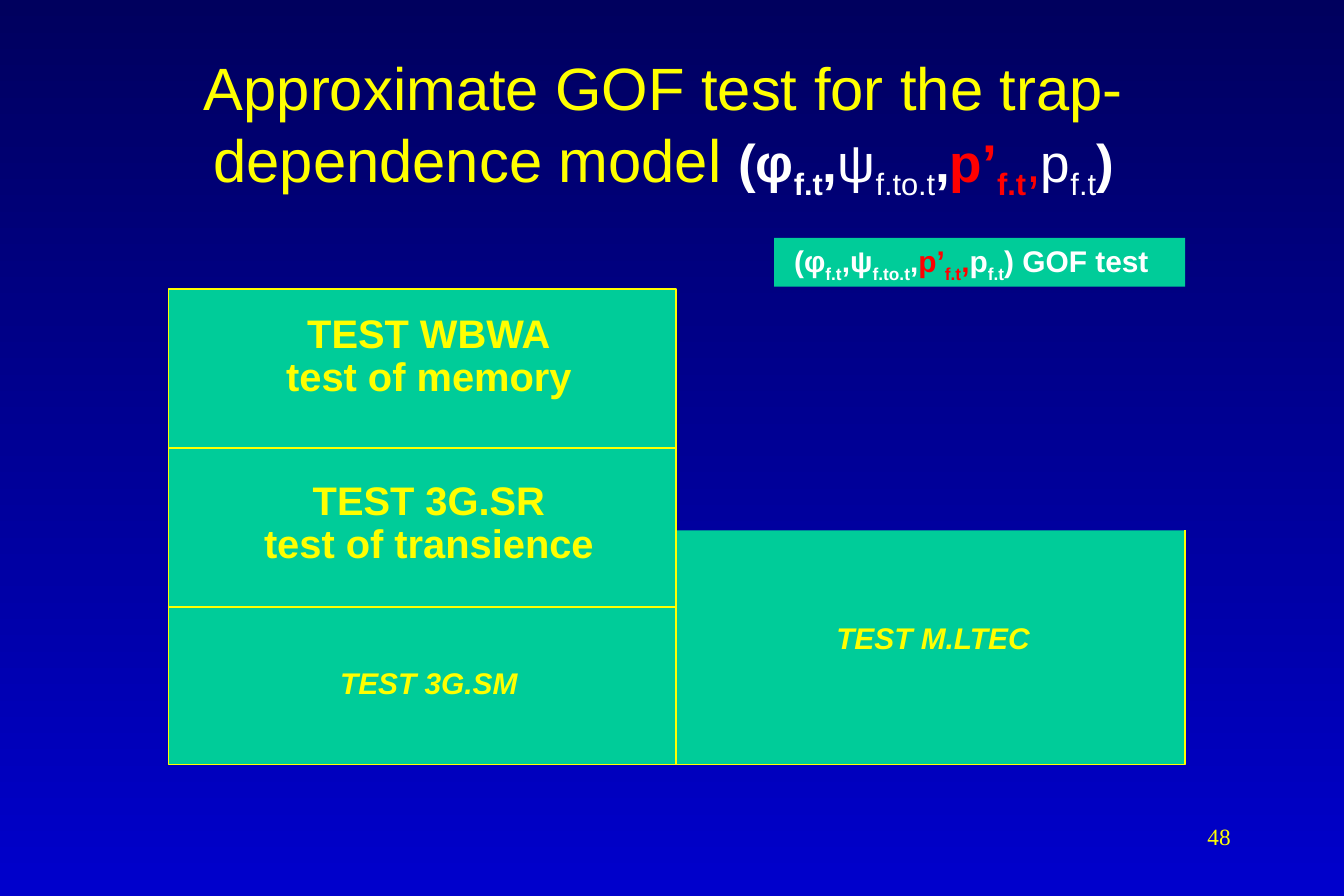
"""Builds the slide on the approximate GOF test for the trap-dependence model."""
from lxml.etree import SubElement
from pptx import Presentation
from pptx.dml.color import RGBColor
from pptx.enum.shapes import MSO_CONNECTOR, MSO_SHAPE
from pptx.enum.text import MSO_ANCHOR, MSO_AUTO_SIZE, PP_ALIGN
from pptx.oxml.ns import qn
from pptx.util import Inches, Pt

NAVY = RGBColor(0x00, 0x00, 0x5E)
BLUE = RGBColor(0x00, 0x00, 0xCC)
YELLOW = RGBColor(0xFF, 0xFF, 0x00)
WHITE = RGBColor(0xFF, 0xFF, 0xFF)
RED = RGBColor(0xFF, 0x00, 0x00)
GREEN = RGBColor(0x00, 0xCC, 0x99)


def add_run(p, text, size, color, bold=False, sub=False):
    r = p.add_run()
    r.text = text
    r.font.name = "Arial"
    r.font.size = Pt(size)
    r.font.bold = bold
    r.font.color.rgb = color
    if sub:
        r.font._element.set("baseline", "-25000")


prs = Presentation()
prs.slide_width = Inches(11.25)
prs.slide_height = Inches(7.5)
s = prs.slides.add_slide(prs.slide_layouts[5])
fill = s.background.fill
fill.gradient()
fill.gradient_angle = 270
for stop, color in zip(fill.gradient_stops, (NAVY, BLUE)):
    stop.color.rgb = color

title = s.shapes.title
title.left, title.top = Inches(0.33), Inches(0.31)
title.width, title.height = Inches(10.45), Inches(1.5)
tf = title.text_frame
tf.auto_size = MSO_AUTO_SIZE.NONE
tf.vertical_anchor = MSO_ANCHOR.MIDDLE
p = tf.paragraphs[0]
p.alignment = PP_ALIGN.CENTER
add_run(p, "Approximate GOF test for the trap-dependence model ", 36, YELLOW)
for text, color, bold, sub in [
    ("(φ", WHITE, True, False), ("f.t", WHITE, True, True),
    (",", WHITE, True, False), ("ψ", WHITE, False, False),
    ("f.to.t", WHITE, False, True), (",", WHITE, True, False),
    ("p’", RED, True, False), ("f.t", RED, True, True),
    (",", RED, False, False), ("p", WHITE, False, False),
    ("f.t", WHITE, False, True), (")", WHITE, True, False),
]:
    add_run(p, text, 32, color, bold, sub)

fb = s.shapes.build_freeform(Inches(9.92), Inches(4.44))
fb.add_line_segments(
    [(Inches(x), Inches(y)) for x, y in [
        (9.92, 6.4), (1.41, 6.4), (1.41, 2.42), (5.66, 2.42), (5.66, 4.44),
    ]],
    close=False,
)
panel = fb.convert_to_shape()
panel.line.color.rgb = YELLOW
panel.line.width = Pt(1)

label = s.shapes.add_shape(MSO_SHAPE.RECTANGLE, Inches(6.48), Inches(1.99), Inches(3.44), Inches(0.41))
label.line.fill.background()
for sp in (panel, label):
    sp.shadow.inherit = False
    sp.fill.solid()
    sp.fill.fore_color.rgb = GREEN

tf = label.text_frame
tf.word_wrap = True
tf.vertical_anchor = MSO_ANCHOR.TOP
p = tf.paragraphs[0]
p.alignment = PP_ALIGN.LEFT
p.line_spacing = 0.9
for text, color, sub in [
    (" (φ", WHITE, False), ("f.t", WHITE, True), (",ψ", WHITE, False),
    ("f.to.t", WHITE, True), (",", WHITE, False), ("p’", RED, False),
    ("f.t", RED, True), (",", RED, False), ("p", WHITE, False),
    ("f.t", WHITE, True), (") GOF test", WHITE, False),
]:
    add_run(p, text, 18, color, True, sub)

for x1, y1, x2, y2 in [
    (5.66, 2.42, 5.66, 6.4), (1.41, 3.75, 5.66, 3.75), (1.41, 5.08, 5.66, 5.08),
]:
    line = s.shapes.add_connector(MSO_CONNECTOR.STRAIGHT, Inches(x1), Inches(y1), Inches(x2), Inches(y2))
    line.line.color.rgb = YELLOW
    line.line.width = Pt(1)
    SubElement(line._element.spPr, qn("a:effectLst"))

for text, x, y, w, h, size, italic in [
    ("TEST WBWA\ntest of memory", 1.95, 2.58, 3.28, 0.82, 24, False),
    ("TEST 3G.SR\vtest of transience", 1.95, 3.98, 3.28, 0.82, 24, False),
    ("TEST 3G.SM", 2.42, 5.55, 2.34, 0.37, 18, True),
    ("TEST M.LTEC", 6.64, 5.17, 2.34, 0.37, 18, True),
]:
    tf = s.shapes.add_textbox(Inches(x), Inches(y), Inches(w), Inches(h)).text_frame
    tf.word_wrap = True
    tf.text = text
    for p in tf.paragraphs:
        p.alignment = PP_ALIGN.CENTER
        p.line_spacing = 0.9
        for r in p.runs:
            r.font.name = "Arial"
            r.font.size = Pt(size)
            r.font.bold = True
            r.font.italic = italic
            r.font.color.rgb = YELLOW

tf = s.shapes.add_textbox(Inches(8.06), Inches(6.83), Inches(2.34), Inches(0.5)).text_frame
tf.word_wrap = True
tf.text = "48"
p = tf.paragraphs[0]
p.alignment = PP_ALIGN.RIGHT
r = p.runs[0]
r.font.name = "Times New Roman"
r.font.size = Pt(14)
r.font.color.rgb = YELLOW

prs.save("out.pptx")
